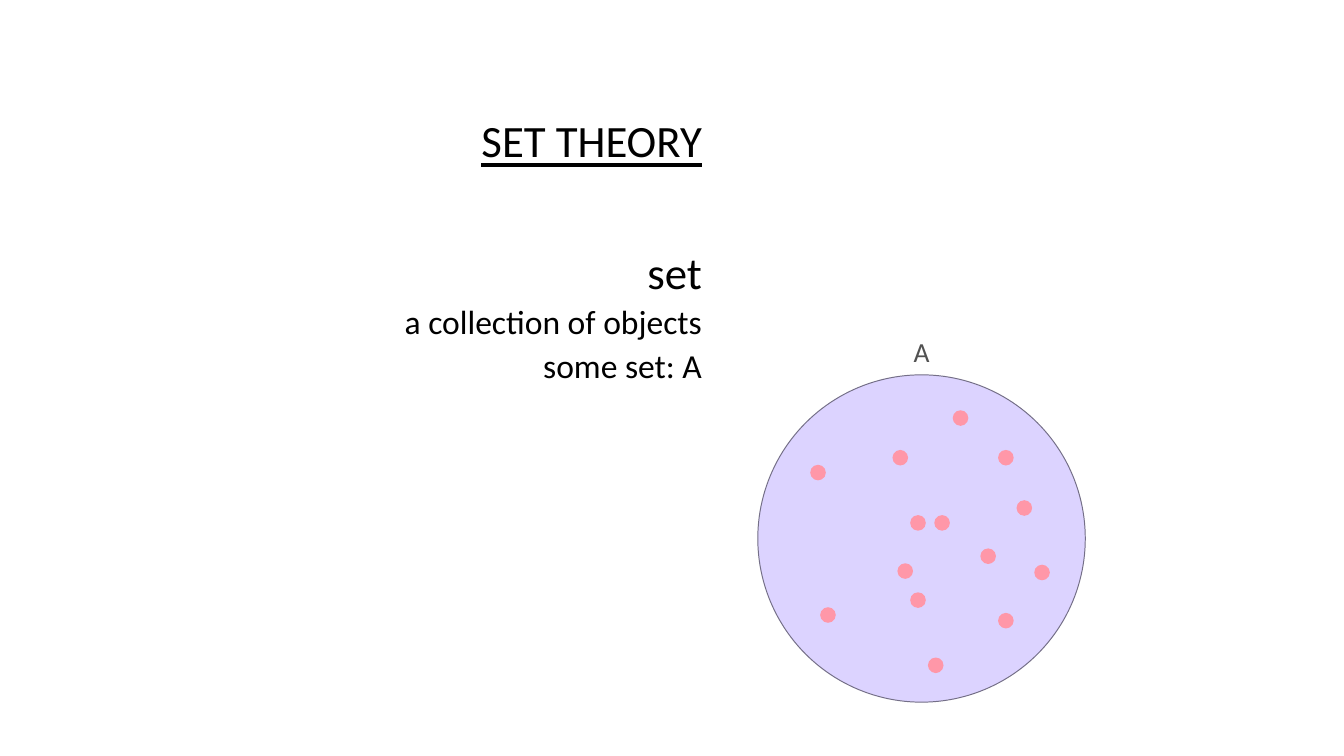
from pptx import Presentation
from pptx.dml.color import RGBColor
from pptx.enum import shapes, text
from pptx.util import Inches, Pt

BLACK = RGBColor(0x00, 0x00, 0x00)
GREY = RGBColor(0x51, 0x51, 0x51)
LILAC = RGBColor(0xDC, 0xD3, 0xFF)
PLUM = RGBColor(0x74, 0x6F, 0x87)
PINK = RGBColor(0xFF, 0x97, 0xA8)

deck = Presentation()
deck.slide_width = Inches(18.96)
deck.slide_height = Inches(10.67)
slide = deck.slides.add_slide(deck.slide_layouts[6])


def disc(left, top, size, color):
    oval = slide.shapes.add_shape(
        shapes.MSO_SHAPE.OVAL, Inches(left), Inches(top), Inches(size), Inches(size))
    oval.shadow.inherit = False
    oval.fill.solid()
    oval.fill.fore_color.rgb = color
    oval.line.fill.background()
    return oval


def write(para, words, size, color, align):
    para.alignment = align
    run = para.add_run()
    run.text = words
    for key, value in {"name": "Calibri", "size": Pt(size)}.items():
        setattr(run.font, key, value)
    run.font.color.rgb = color
    return run


body = slide.shapes.add_textbox(Inches(0), Inches(1.38), Inches(10), Inches(4.2))
frame = body.text_frame
frame.word_wrap = True
title = write(frame.paragraphs[0], "set theory", 56.9, BLACK, text.PP_ALIGN.RIGHT)
title.font.underline = True
title.font._element.set("cap", "small")

for words, size, gap, pitch in [
    ("set", 45.5, 78, 1.0),
    ("a collection of objects", 34.1, 7.1, 0.9),
    ("some set: A", 34.1, 7.1, 0.9),
]:
    para = frame.add_paragraph()
    para.space_before = Pt(gap)
    para.line_spacing = pitch
    write(para, words, size, BLACK, text.PP_ALIGN.RIGHT)

ring = disc(10.69, 5.29, 4.62, LILAC)
ring.line.color.rgb = PLUM
ring.line.width = Pt(1)

for left, top in [
    (14.34, 7.06), (12.84, 8.36), (12.59, 6.35), (13.83, 7.74), (13.18, 7.27),
    (11.43, 6.56), (12.66, 7.95), (14.59, 7.97), (13.09, 9.28), (12.84, 7.27),
    (14.08, 8.65), (14.08, 6.35), (13.44, 5.79), (11.57, 8.57),
]:
    disc(left, top, 0.22, PINK)

label = slide.shapes.add_textbox(Inches(12.84), Inches(4.73), Inches(0.32), Inches(0.47))
frame = label.text_frame
frame.word_wrap = True
for side in ("left", "top", "right", "bottom"):
    setattr(frame, f"margin_{side}", 0)
write(frame.paragraphs[0], "A", 28, GREY, text.PP_ALIGN.CENTER)

deck.save("out.pptx")
